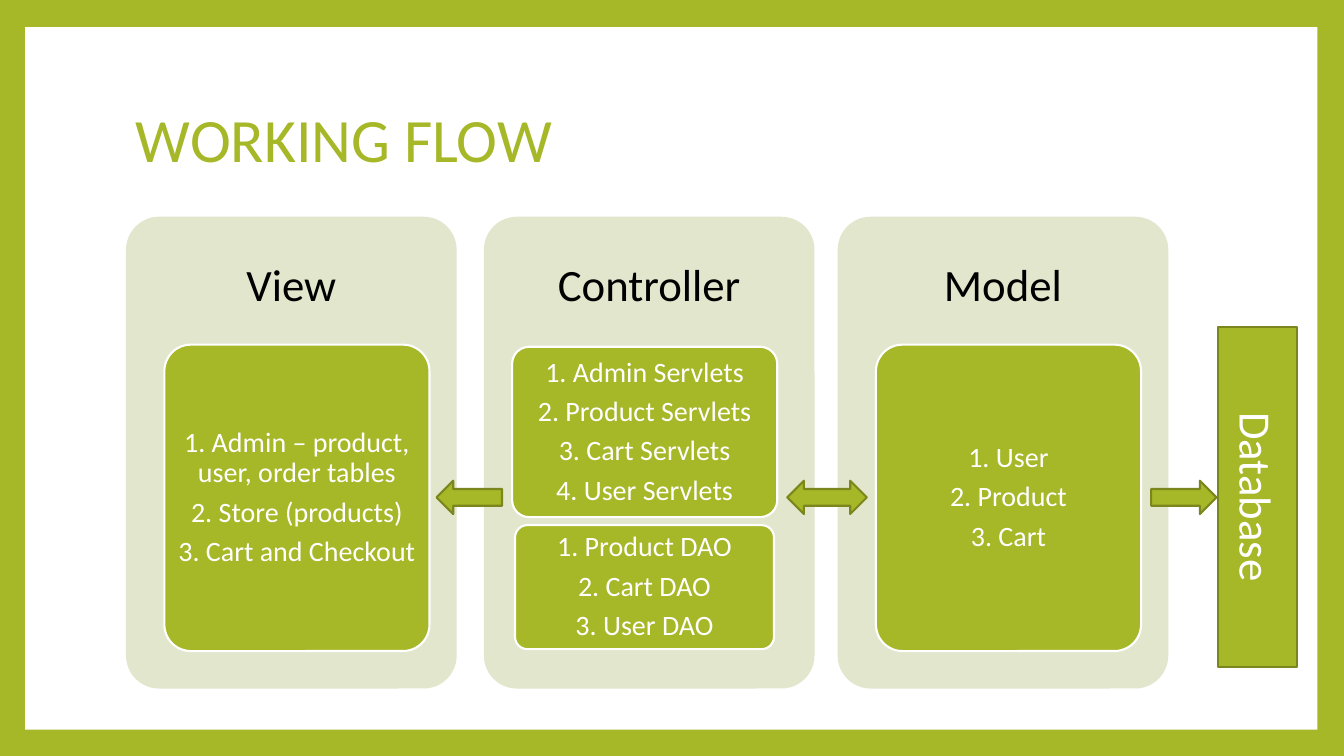
from pptx import Presentation
from pptx.dml.color import RGBColor
from pptx.enum.shapes import MSO_SHAPE as Preset
from pptx.enum.text import MSO_ANCHOR as Anchor, PP_ALIGN as Align
from pptx.util import Pt

COLORS = {"green": "A6B727", "edge": "7B871D", "panel": "E1E6CD",
          "white": "FFFFFF", "black": "000000"}
PANEL_TOP, PANEL_WIDTH, PANEL_HEIGHT = 154.8, 236.2, 337
HEADING_HEIGHT = 100.8

# Each panel: heading, left edge, cards as (box within the panel, lines)
PANELS = [
    ("View", 90, [((27.4, 91.4, 189.4, 218.9),
                   ["1. Admin – product, user, order tables",
                    "2. Store (products)", "3. Cart and Checkout"])]),
    ("Controller", 345.6, [((20.2, 92.9, 189.4, 121.7),
                            ["1. Admin Servlets", "2. Product Servlets",
                             "3. Cart Servlets", "4. User Servlets"]),
                           ((22.3, 220.3, 185, 88.6),
                            ["1. Product DAO", "2. Cart DAO", "3. User DAO"])]),
    ("Model", 598.3, [((27.4, 91.4, 189.4, 218.9),
                       ["1. User", "2. Product", "3. Cart"])]),
]
ARROWS = [(Preset.LEFT_ARROW, 311.8, 46.8),
          (Preset.LEFT_RIGHT_ARROW, 562.3, 56.9),
          (Preset.RIGHT_ARROW, 822.2, 46.8)]


def color(name):
    """Return the named colour."""
    return RGBColor.from_string(COLORS[name])


def add_box(page, preset, box, fill, line=None):
    """Add a flat preset shape with an optional outline."""
    shape = page.shapes.add_shape(preset, *map(Pt, box))
    shape.shadow.inherit = False
    shape.fill.solid()
    shape.fill.fore_color.rgb = color(fill)
    if line:
        shape.line.color.rgb = color(line)
        shape.line.width = Pt(1.5)
    else:
        shape.line.fill.background()
    if preset == Preset.ROUNDED_RECTANGLE:
        shape.adjustments[0] = 0.1
    return shape


def write(shape, lines, size, ink="white", align=Align.CENTER,
          spacing=0.9, after=0, margins=(7.2, 3.6)):
    """Fill a shape with one formatted paragraph per line."""
    frame = shape.text_frame
    frame.word_wrap = True
    frame.vertical_anchor = Anchor.MIDDLE
    frame.margin_left = frame.margin_right = Pt(margins[0])
    frame.margin_top = frame.margin_bottom = Pt(margins[1])
    for index, line in enumerate(lines):
        para = frame.add_paragraph() if index else frame.paragraphs[0]
        para.alignment = align
        para.line_spacing = spacing
        para.space_after = Pt(after)
        span = para.add_run()
        span.text = line
        span.font.size = Pt(size)
        span.font.name = "Calibri"
        span.font.color.rgb = color(ink)


def draw_frame(page, box):
    """Draw the green border around a white page area."""
    page.background.fill.solid()
    page.background.fill.fore_color.rgb = color("green")
    add_box(page, Preset.RECTANGLE, box, "white")


def draw_title(page, box):
    """Write the slide title."""
    title = page.shapes.add_textbox(*map(Pt, box))
    write(title, ["WORKING FLOW"], 44, ink="green", align=Align.LEFT)


def draw_panel(page, box, heading, cards):
    """Draw one layer: its panel, heading and cards."""
    left, top, width, _ = box
    add_box(page, Preset.ROUNDED_RECTANGLE, box, "panel")
    label = page.shapes.add_textbox(*map(Pt, (left, top, width, HEADING_HEIGHT)))
    write(label, [heading], 32, ink="black")
    for (x, y, card_width, card_height), lines in cards:
        card = add_box(page, Preset.ROUNDED_RECTANGLE,
                       (left + x, top + y, card_width, card_height),
                       "green", "white")
        write(card, lines, 20, after=6.5, margins=(4, 3))


def draw_database(page, box):
    """Draw the database bar, turned to read downwards."""
    left, top, width, height = box
    shift = (height - width) / 2
    bar = add_box(page, Preset.RECTANGLE,
                  (left - shift, top + shift, height, width), "green", "edge")
    bar.rotation = 90
    write(bar, ["Database"], 32, spacing=1)


def draw_arrows(page, top, height):
    """Draw the arrows that link the layers and the database."""
    for preset, left, width in ARROWS:
        add_box(page, preset, (left, top, width, height), "green", "edge")


def main():
    """Build and save the slide."""
    deck = Presentation()
    deck.slide_width, deck.slide_height = Pt(960), Pt(540)
    page = deck.slides.add_slide(deck.slide_layouts[6])
    draw_frame(page, (18, 19.4, 923, 501.8))
    draw_title(page, (90, 48.2, 777.6, 106.6))
    for heading, left, cards in PANELS:
        draw_panel(page, (left, PANEL_TOP, PANEL_WIDTH, PANEL_HEIGHT),
                   heading, cards)
    draw_database(page, (870, 233.3, 56.5, 243.4))
    draw_arrows(page, 343.4, 23.8)
    deck.save("out.pptx")


main()
